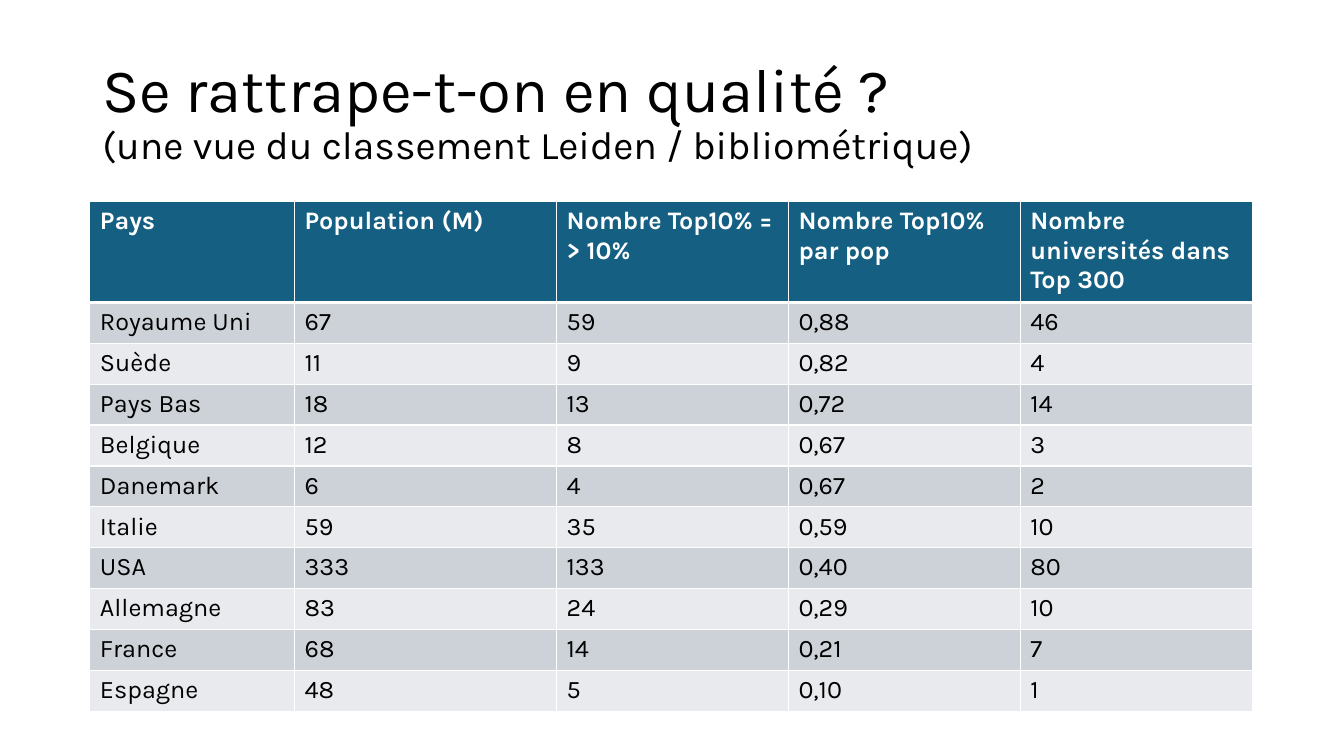
from lxml.etree import SubElement
from pptx import Presentation
from pptx.dml.color import RGBColor
from pptx.enum.text import MSO_ANCHOR
from pptx.oxml.ns import qn
from pptx.util import Pt


def style(r, size, color, bold=False):
    r.font.name = "Karla"
    r.font.size = Pt(size)
    r.font.bold = bold
    r.font.color.rgb = RGBColor.from_string(color)


def border(cell, side, width):
    ln = SubElement(cell._tc.get_or_add_tcPr(), qn(f"a:ln{side}"), w=str(Pt(width)))
    fill = SubElement(ln, qn("a:solidFill"))
    SubElement(fill, qn("a:srgbClr"), val="FFFFFF")


prs = Presentation()
prs.slide_width, prs.slide_height = Pt(960), Pt(540)
s = prs.slides.add_slide(prs.slide_layouts[6])

title = s.shapes.add_textbox(Pt(66), Pt(28.75), Pt(828), Pt(104.4))
tf = title.text_frame
tf.word_wrap = True
tf.vertical_anchor = MSO_ANCHOR.MIDDLE
p = tf.paragraphs[0]
p.line_spacing = 0.9
r = p.add_run()
r.text = "Se rattrape-t-on en qualité ?"
style(r, 44, "000000")
p.add_line_break()
r = p.add_run()
r.text = "(une vue du classement Leiden / bibliométrique)"
style(r, 28, "000000")

rows = [
    ("Pays", "Population (M)", "Nombre Top10% = > 10%", "Nombre Top10% par pop",
     "Nombre universités dans Top 300"),
    ("Royaume Uni", "67", "59", "0,88", "46"),
    ("Suède", "11", "9", "0,82", "4"),
    ("Pays Bas", "18", "13", "0,72", "14"),
    ("Belgique", "12", "8", "0,67", "3"),
    ("Danemark", "6", "4", "0,67", "2"),
    ("Italie", "59", "35", "0,59", "10"),
    ("USA", "333", "133", "0,40", "80"),
    ("Allemagne", "83", "24", "0,29", "10"),
    ("France", "68", "14", "0,21", "7"),
    ("Espagne", "48", "5", "0,10", "1"),
]
widths = [146.2, 187.2, 165.6, 165.6, 165.6]
heights = [69] + [29.2] * 10

table = s.shapes.add_table(len(rows), len(widths), Pt(64.2), Pt(144),
                           Pt(sum(widths)), Pt(sum(heights))).table
for column, width in zip(table.columns, widths):
    column.width = Pt(width)
for i, values in enumerate(rows):
    header = i == 0
    table.rows[i].height = Pt(heights[i])
    for j, value in enumerate(values):
        cell = table.cell(i, j)
        for side in "LRTB":
            thick = (header and side == "B") or (i == 1 and side == "T")
            border(cell, side, 3 if thick else 1)
        cell.fill.solid()
        band = "156082" if header else "CCD2D8" if i % 2 else "E8EAED"
        cell.fill.fore_color.rgb = RGBColor.from_string(band)
        r = cell.text_frame.paragraphs[0].add_run()
        r.text = value
        style(r, 18, "FFFFFF" if header else "000000", header)

prs.save("out.pptx")
